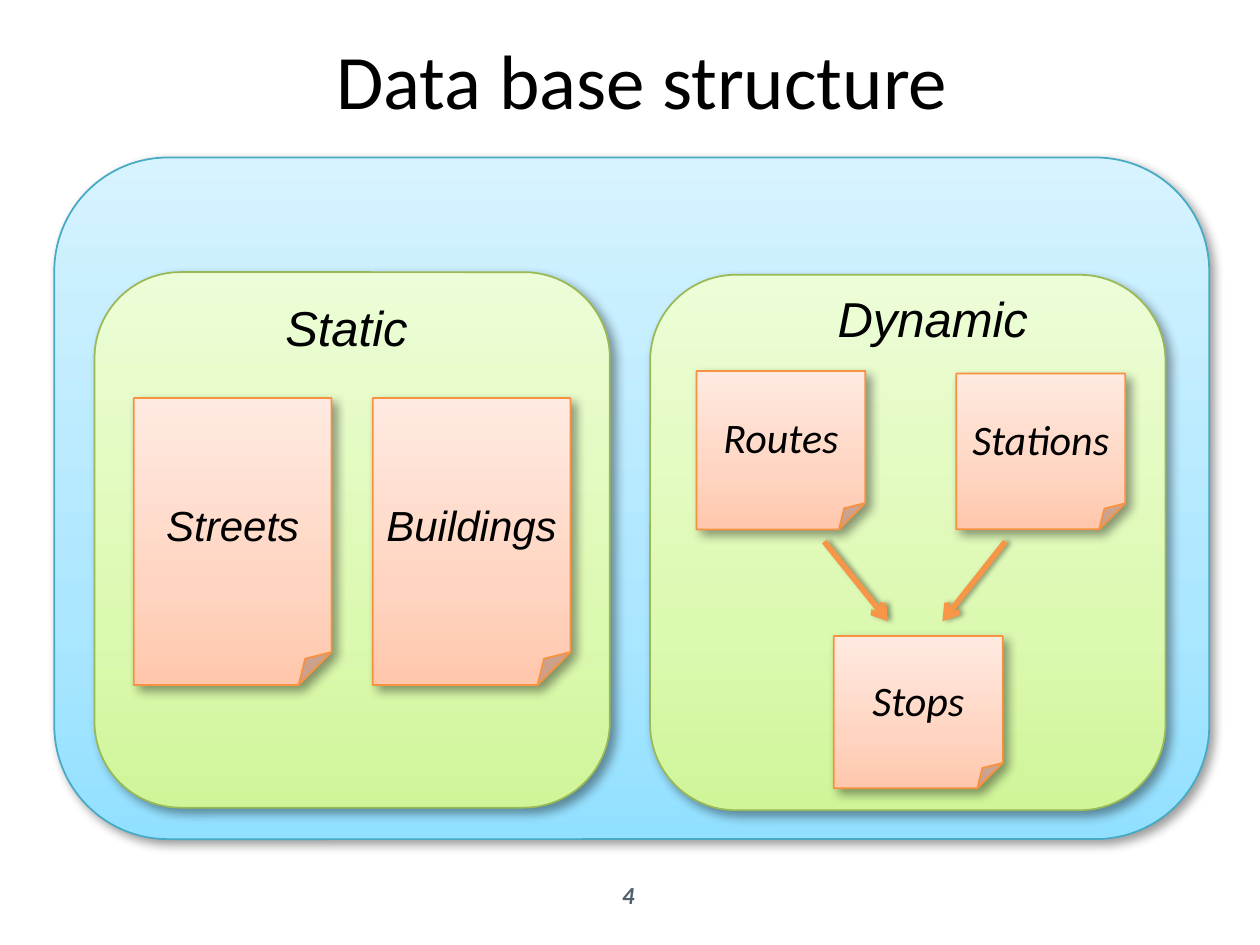
from copy import deepcopy

from lxml import etree
from pptx import Presentation
from pptx.dml.color import RGBColor
from pptx.enum import shapes, text
from pptx.oxml import ns
from pptx.util import Pt

COLORS = {
    "text": "000000",
    "number": "515F6B",
    "shadow": "000000",
    "arrow": "F79646",
    "database_line": "46AAC5",
    "group_line": "98B955",
    "table_line": "F69240",
}
# Gradient colours from bottom to top
GRADIENTS = {
    "database": ("92E0FF", "ADE7FF", "D6F3FF"),
    "group": ("D0F599", "DCF9B1", "EDFDD7"),
    "table": ("FFC7AC", "FFD5C2", "FFEAE1"),
}
STOPS = (0, 0.35, 1)


def color(name):
    return RGBColor.from_string(COLORS[name])


def add_child(parent, tag, **attributes):
    return etree.SubElement(parent, ns.qn(tag), attributes)


def add_shadow(shape, blur, distance, angle):
    """Give the shape or connector a soft outer shadow at 40 % opacity."""
    effects = add_child(shape._element.spPr, "a:effectLst")
    shadow = add_child(effects, "a:outerShdw", blurRad=str(Pt(blur)),
                       dist=str(Pt(distance)), dir=str(angle * 60000),
                       algn="ctr", rotWithShape="0")
    tint = add_child(shadow, "a:srgbClr", val=COLORS["shadow"])
    add_child(tint, "a:alpha", val="40000")


def fill_gradient(shape, kind):
    shape.fill.gradient()
    shape.fill.gradient_angle = 90
    stop_list = shape._element.spPr.find(".//" + ns.qn("a:gsLst"))
    stop_list.append(deepcopy(stop_list[0]))
    for stop, position, shade in zip(shape.fill.gradient_stops, STOPS, GRADIENTS[kind]):
        stop.position = position
        stop.color.rgb = RGBColor.from_string(shade)


def write(shape, words, size, font, tone="text", bold=False, italic=True):
    frame = shape.text_frame
    frame.word_wrap = True
    frame.vertical_anchor = text.MSO_ANCHOR.MIDDLE
    para = frame.paragraphs[0]
    para.alignment = text.PP_ALIGN.CENTER
    span = para.add_run()
    span.text = words
    span.font.size = Pt(size)
    span.font.name = font
    span.font.bold = bold
    span.font.italic = italic
    span.font.color.rgb = color(tone)


def add_label(page, area, words, size, font, **style):
    box = page.shapes.add_textbox(*map(Pt, area))
    write(box, words, size, font, **style)


def add_panel(page, kind, area, preset=shapes.MSO_SHAPE.ROUNDED_RECTANGLE):
    panel = page.shapes.add_shape(preset, *map(Pt, area))
    fill_gradient(panel, kind)
    panel.line.color.rgb = color(kind + "_line")
    panel.line.width = Pt(1)
    add_shadow(panel, 6, 4, 45)
    return panel


def add_table_note(page, words, area, font):
    note = add_panel(page, "table", area, shapes.MSO_SHAPE.FOLDED_CORNER)
    write(note, words, 24, font)


def add_arrow(page, start, end):
    arrow = page.shapes.add_connector(
        shapes.MSO_CONNECTOR.STRAIGHT, *map(Pt, start + end))
    arrow.line.color.rgb = color("arrow")
    arrow.line.width = Pt(3.25)
    add_child(arrow.line._get_or_add_ln(), "a:tailEnd", type="arrow")
    add_shadow(arrow, 3.1, 1.8, 0)


def main():
    deck = Presentation()
    deck.slide_width, deck.slide_height = Pt(720), Pt(540)
    page = deck.slides.add_slide(deck.slide_layouts[6])

    add_label(page, (275, 497, 168, 29), "4", 14, "Calibri", tone="number", bold=True)
    add_label(page, (43, 0, 648, 90), "Data base structure", 44, "Calibri", italic=False)

    add_panel(page, "database", (31, 90, 660, 389.5))
    for left, top in ((54, 155.5), (371.5, 157)):
        add_panel(page, "group", (left, top, 294.5, 306))

    for words, left in (("Streets", 76.5), ("Buildings", 213)):
        add_table_note(page, words, (left, 227.5, 113, 164), "Arial")
    for words, left, top, height in (
        ("Routes", 398, 212, 90.5),
        ("Stations", 546.5, 213.5, 89),
        ("Stops", 476.5, 363.5, 87),
    ):
        add_table_note(page, words, (left, top, 96.5, height), "Calibri")

    for words, left, top in (("Static", 116, 157), ("Dynamic", 451, 151.5)):
        add_label(page, (left, top, 164, 60), words, 28, "Arial")

    add_arrow(page, (471, 309.5), (507.5, 355))
    add_arrow(page, (574.5, 309.5), (538.5, 355))

    deck.save("out.pptx")


if __name__ == "__main__":
    main()
